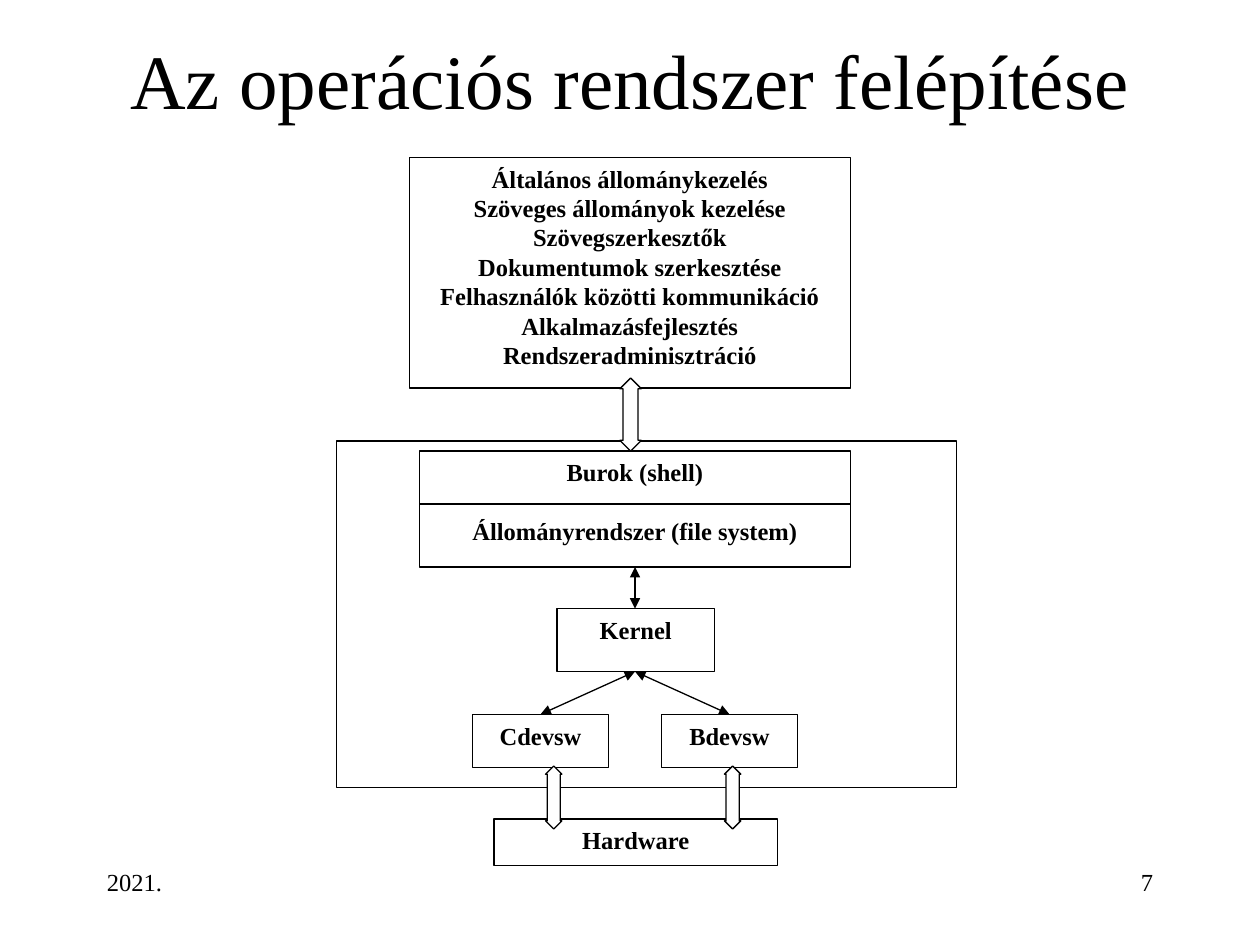
"""Build the slide on the structure of the operating system."""
from lxml import etree
from pptx import Presentation
from pptx import util as u
from pptx.dml.color import RGBColor
from pptx.enum import shapes, text
from pptx.oxml.ns import qn

COLORS = {"ink": "000000", "paper": "FFFFFF"}
FONT = "Times New Roman"
INK = RGBColor.from_string(COLORS["ink"])
PAPER = RGBColor.from_string(COLORS["paper"])


def write_lines(shape, lines, alignment, bold=False, gap=0):
    frame = shape.text_frame
    frame.word_wrap = True
    frame.vertical_anchor = text.MSO_ANCHOR.TOP
    for index, line in enumerate(lines):
        paragraph = frame.paragraphs[0] if index == 0 else frame.add_paragraph()
        paragraph.text = line
        paragraph.alignment = alignment
        paragraph.line_spacing = u.Pt(16.8)
        paragraph.space_before = u.Pt(gap if index else 0)
        paragraph.font.name = FONT
        paragraph.font.size = u.Pt(14)
        paragraph.font.bold = bold
        paragraph.font.color.rgb = INK


def add_outlined(kind, left, top, width, height):
    shape = slide.shapes.add_shape(
        kind, u.Inches(left), u.Inches(top), u.Inches(width), u.Inches(height))
    shape.shadow.inherit = False
    shape.fill.solid()
    shape.fill.fore_color.rgb = PAPER
    shape.line.color.rgb = INK
    shape.line.width = u.Pt(0.75)
    return shape


presentation = Presentation()
presentation.slide_width = u.Inches(10)
presentation.slide_height = u.Inches(7.5)
slide = presentation.slides.add_slide(presentation.slide_layouts[5])

title = slide.shapes.title
title.left, title.top = u.Inches(0.75), u.Inches(0)
title.width, title.height = u.Inches(8.5), u.Inches(1.25)
title.text_frame.text = "Az operációs rendszer felépítése"
title.text_frame.vertical_anchor = text.MSO_ANCHOR.MIDDLE
heading = title.text_frame.paragraphs[0]
heading.alignment = text.PP_ALIGN.CENTER
heading.font.name = FONT
heading.font.size = u.Pt(44)
heading.font.color.rgb = INK

applications = [
    "Általános állománykezelés",
    "Szöveges állományok kezelése",
    "Szövegszerkesztők",
    "Dokumentumok szerkesztése",
    "Felhasználók közötti kommunikáció",
    "Alkalmazásfejlesztés",
    "Rendszeradminisztráció",
]
boxes = [
    (3.25, 1.25, 3.5, 1.83, applications, 0),
    (2.67, 3.5, 4.92, 2.75, [], 0),
    (3.33, 3.58, 3.42, 0.92, ["Burok (shell)", "Állományrendszer (file system)"], 16.8),
    (4.42, 4.83, 1.25, 0.5, ["Kernel"], 0),
    (3.75, 5.67, 1.08, 0.42, ["Cdevsw"], 0),
    (5.25, 5.67, 1.08, 0.42, ["Bdevsw"], 0),
    (3.92, 6.5, 2.25, 0.37, ["Hardware"], 0),
]
for left, top, width, height, lines, gap in boxes:
    box = add_outlined(shapes.MSO_SHAPE.RECTANGLE, left, top, width, height)
    write_lines(box, lines, text.PP_ALIGN.CENTER, bold=True, gap=gap)

block_arrows = [
    (4.33, 6.08, 0.13, 0.5, 0.8),
    (5.75, 6.08, 0.13, 0.5, 0.8),
    (4.92, 3, 0.17, 0.58, 0.7),
]
for left, top, width, height, head_length in block_arrows:
    arrow = add_outlined(shapes.MSO_SHAPE.UP_DOWN_ARROW, left, top, width, height)
    arrow.adjustments[0] = 0.5
    arrow.adjustments[1] = head_length

lines = [
    (3.33, 4, 6.75, 4, False),
    (5.04, 5.33, 4.29, 5.67, True),
    (5.04, 5.33, 5.79, 5.67, True),
    (5.04, 4.5, 5.04, 4.83, True),
]
for start_x, start_y, end_x, end_y, has_heads in lines:
    connector = slide.shapes.add_connector(
        shapes.MSO_CONNECTOR.STRAIGHT, u.Inches(start_x), u.Inches(start_y),
        u.Inches(end_x), u.Inches(end_y))
    connector.line.color.rgb = INK
    connector.line.width = u.Pt(0.75)
    if has_heads:
        outline = connector.line._get_or_add_ln()
        for end in ("a:headEnd", "a:tailEnd"):
            etree.SubElement(outline, qn(end), type="triangle")
    etree.SubElement(connector._element.spPr, qn("a:effectLst"))

footers = [
    (0.75, "2021.", text.PP_ALIGN.LEFT),
    (7.17, "7", text.PP_ALIGN.RIGHT),
]
for left, label, alignment in footers:
    footer = slide.shapes.add_textbox(
        u.Inches(left), u.Inches(6.83), u.Inches(2.08), u.Inches(0.5))
    write_lines(footer, [label], alignment)

presentation.save("out.pptx")
